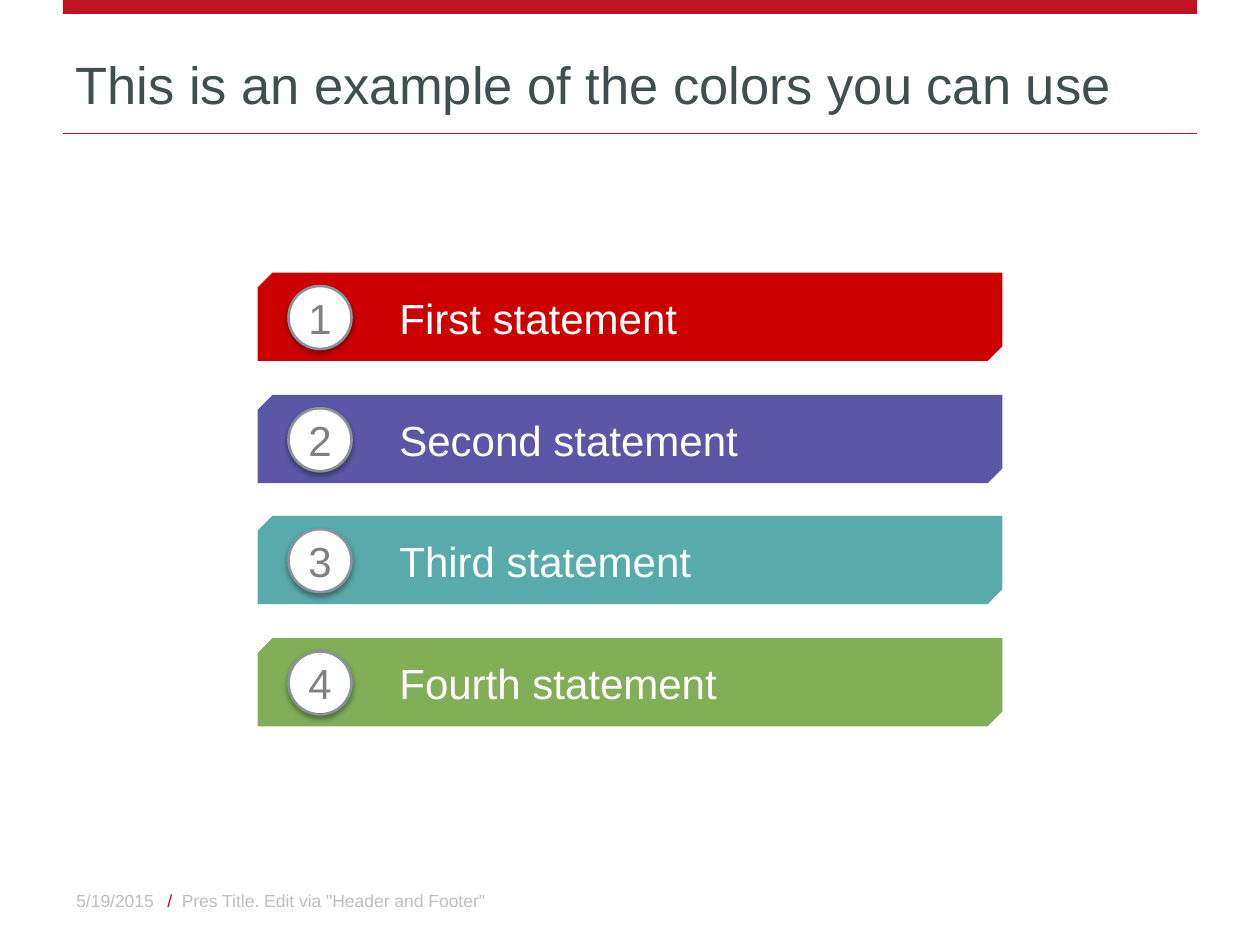
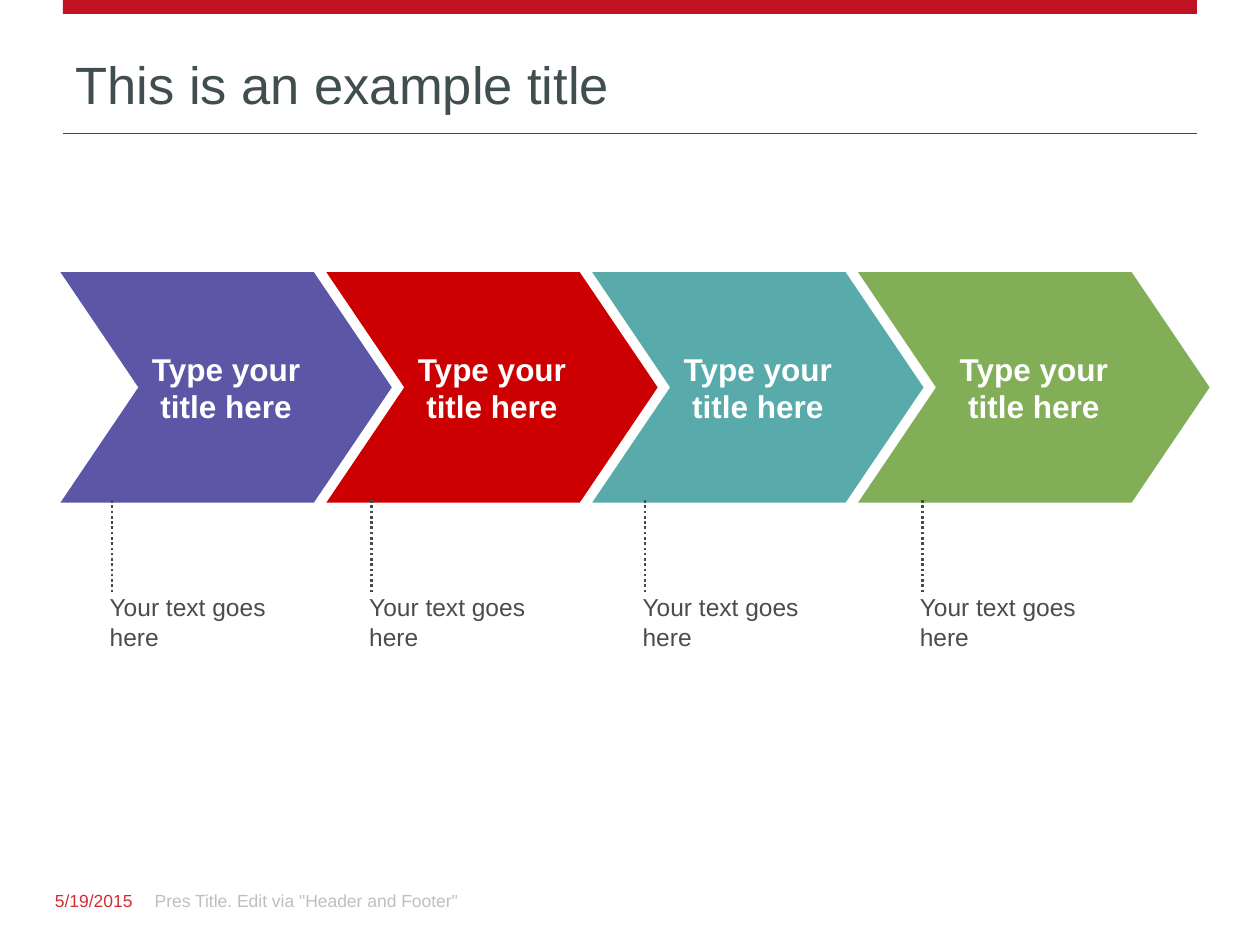
from lxml.etree import SubElement
from pptx import Presentation
from pptx.dml.color import RGBColor as RGB
from pptx.enum.dml import MSO_LINE as Dash
from pptx.enum.shapes import MSO_CONNECTOR as Link, MSO_SHAPE as Shape
from pptx.enum.text import MSO_ANCHOR as Anchor, MSO_AUTO_SIZE as Fit, PP_ALIGN as Align
from pptx.oxml.ns import qn
from pptx.util import Pt

PX = 9144  # one px is a hundredth of an inch
COLORS = {
    "band": "BF1223", "title": "404E50", "red": "CC0000", "purple": "5B57A6",
    "teal": "58ABAA", "green": "82AE58", "white": "FFFFFF", "ring": "8A929B",
    "number": "808080", "body": "4C4C4C", "dots": "444A50", "foot": "BFBFBF",
    "date": "D12E36", "black": "000000",
}
NOTE = 'Pres Title. Edit via "Header and Footer"'


def emu(*px):
    return [round(n * PX) for n in px]


def apply(item, form):
    for name, value in form.items():
        setattr(item, name, value)


def pad(x, y):
    """Frame margins, in px, for the sides and for top and bottom."""
    x, y = emu(x, y)
    return {"margin_left": x, "margin_right": x, "margin_top": y, "margin_bottom": y}


class Deck:
    def __init__(self):
        self.prs = Presentation()
        self.prs.slide_width, self.prs.slide_height = emu(1000, 750)
        self.slide = None

    def color(self, name):
        return RGB.from_string(COLORS[name])

    def start(self, title):
        """Add a slide with the shared band, rule and title."""
        self.slide = self.prs.slides.add_slide(self.prs.slide_layouts[5])
        self.shape(Shape.RECTANGLE, (50, 0, 900, 11), "band")
        self.line((50, 106), (950, 106), "band", 1)
        head = self.slide.shapes.title
        self.place(head, (50, 28, 900, 68))
        self.label(head, [(title, "title")], 30, anchor=Anchor.BOTTOM)

    def place(self, item, box):
        apply(item, dict(zip(("left", "top", "width", "height"), emu(*box))))

    def label(self, item, runs, size, bold=False, align=Align.LEFT, **form):
        """Fill the item's frame with runs of (text, color name)."""
        frame = item.text_frame
        anchor = form.pop("anchor", Anchor.MIDDLE)
        apply(frame, {"word_wrap": True, "auto_size": Fit.NONE,
                      "vertical_anchor": anchor, **pad(10, 5), **form})
        para = frame.paragraphs[0]
        para.alignment = align
        for text, tint in runs:
            run = para.add_run()
            run.text = text
            apply(run.font, {"name": "Arial", "size": Pt(size), "bold": bold})
            run.font.color.rgb = self.color(tint)

    def text(self, box, runs, size, **form):
        item = self.slide.shapes.add_textbox(*emu(*box))
        self.label(item, runs, size, **form)

    def shape(self, kind, box, fill, turn=0):
        item = self.slide.shapes.add_shape(kind, *emu(*box))
        item.shadow.inherit = False
        item.fill.solid()
        item.fill.fore_color.rgb = self.color(fill)
        item.line.fill.background()
        item.rotation = turn
        return item

    def line(self, start, end, tint, width, dash=None):
        item = self.slide.shapes.add_connector(Link.STRAIGHT, *emu(*start, *end))
        item.line.color.rgb = self.color(tint)
        apply(item.line, {"width": Pt(width), "dash_style": dash})
        SubElement(item._element.spPr, qn("a:effectLst"))

    def badge(self, box, number):
        """White numbered disc with a ring and a soft shadow below."""
        item = self.shape(Shape.OVAL, box, "white")
        item.line.color.rgb = self.color("ring")
        item.line.width = Pt(1.5)
        glow = SubElement(item._element.spPr.find(qn("a:effectLst")), qn("a:outerShdw"),
                          blurRad=str(int(Pt(3.1))), dist=str(int(Pt(1.8))),
                          dir="5400000", rotWithShape="0")
        tint = SubElement(glow, qn("a:srgbClr"), val=COLORS["black"])
        SubElement(tint, qn("a:alpha"), val="35000")
        self.label(item, [(number, "number")], 24, align=Align.CENTER, **pad(0, 0))

    def footer(self, left, gap, tint, runs):
        self.text((left, 695, 116, 40), [("5/19/2015", tint)], 10, align=Align.RIGHT)
        self.text((left + gap, 695, 317, 40), runs, 10)


def list_slide(deck):
    deck.start("This is an example of the colors you can use")
    deck.footer(16, 107, "foot", [("/ ", "red"), (" " + NOTE, "foot")])
    rows = {"First": "red", "Second": "purple", "Third": "teal", "Fourth": "green"}
    for i, (word, tint) in enumerate(rows.items()):
        drop = round(i * 96.7)
        deck.shape(Shape.SNIP_2_DIAG_RECTANGLE, (465, drop - 44, 70, 591), tint, 90)
        deck.text((317, drop + 223, 470, 58), [(f"{word} statement", "white")], 24,
                  **pad(0, 14))
        deck.badge((229, drop + 227, 50, 50), str(i + 1))


def step_slide(deck):
    deck.start("This is an example title")
    steps = [("purple", 263, 87), ("red", 263, 293),
             ("teal", 263, 510), ("green", 279, 730)]
    for i, (tint, width, left) in enumerate(steps):
        step = deck.shape(Shape.CHEVRON, (48 + 211 * i, 216, width, 183), tint)
        step.adjustments[0] = 0.338
        deck.label(step, [("Type your title here", "white")], 18, True, Align.CENTER)
        deck.text((left, 465, 141, 142), [("Your text goes here", "body")], 14,
                  anchor=Anchor.TOP, **pad(0, 5))
        deck.line((left + 2, 470), (left + 2, 397), "dots", 1.5, Dash.ROUND_DOT)
    deck.footer(-1, 114, "date", [(NOTE, "foot")])


def main():
    deck = Deck()
    list_slide(deck)
    step_slide(deck)
    deck.prs.save("out.pptx")


if __name__ == "__main__":
    main()
